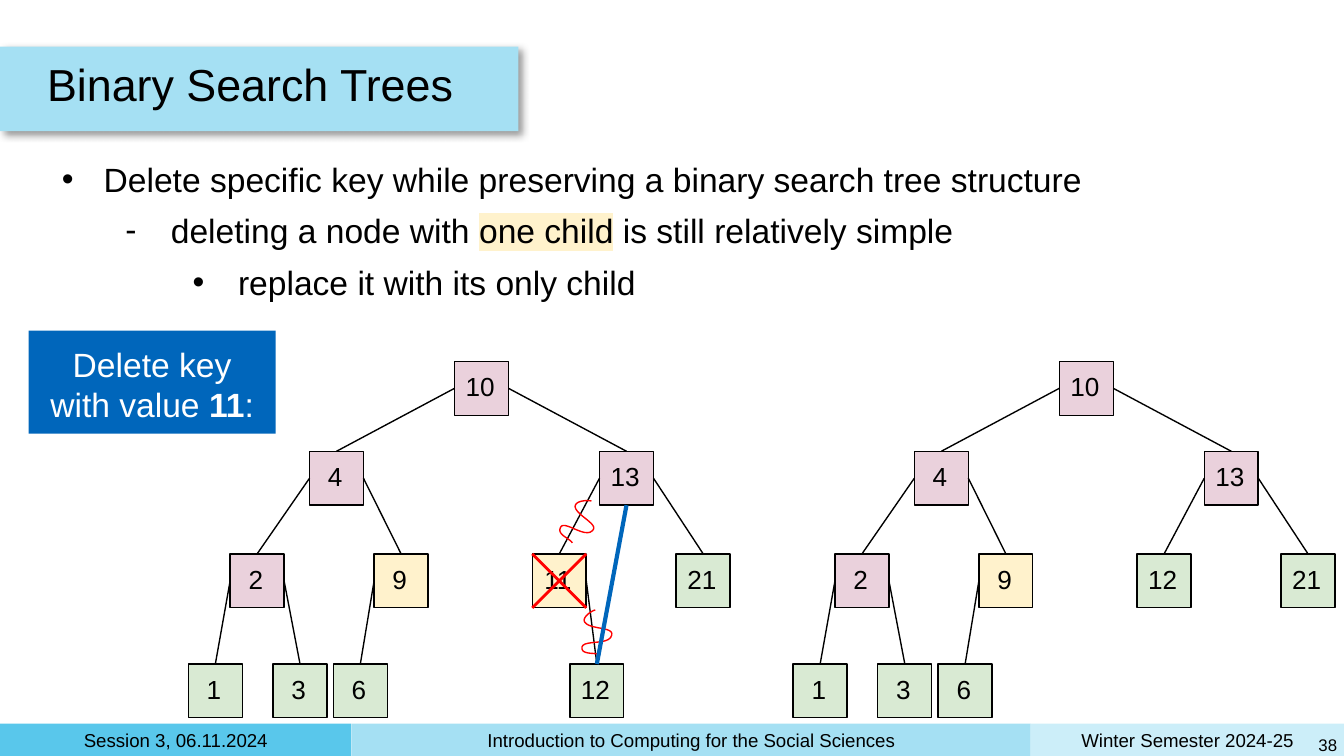
import lxml.etree
import pptx
import pptx.dml.color
import pptx.enum.shapes
import pptx.enum.text
import pptx.oxml.ns
import pptx.util

Cm = pptx.util.Cm
Pt = pptx.util.Pt
RGBColor = pptx.dml.color.RGBColor
ALIGN = pptx.enum.text.PP_ALIGN
ANCHOR = pptx.enum.text.MSO_ANCHOR
RECTANGLE = pptx.enum.shapes.MSO_SHAPE.RECTANGLE
STRAIGHT = pptx.enum.shapes.MSO_CONNECTOR.STRAIGHT
qn = pptx.oxml.ns.qn

BLACK = RGBColor(0x00, 0x00, 0x00)
WHITE = RGBColor(0xFF, 0xFF, 0xFF)
RED = RGBColor(0xFF, 0x00, 0x00)
BLUE = RGBColor(0x00, 0x66, 0xBB)
STRONG_SKY = RGBColor(0x59, 0xC7, 0xEB)
SKY = RGBColor(0xA5, 0xE0, 0xF3)
PALE_SKY = RGBColor(0xCC, 0xEE, 0xF9)
TWO_CHILDREN = RGBColor(0xEA, 0xD1, 0xDC)
ONE_CHILD = RGBColor(0xFF, 0xF2, 0xCC)
LEAF = RGBColor(0xD9, 0xEA, 0xD3)

NODE = 1.02
LEVEL_TOPS = (0, 1.7, 3.64, 5.72)
FULL_TREE = {
    10: (5.03, 0, TWO_CHILDREN),
    4: (2.29, 1, TWO_CHILDREN),
    13: (7.77, 1, TWO_CHILDREN),
    2: (0.79, 2, TWO_CHILDREN),
    9: (3.51, 2, ONE_CHILD),
    11: (6.5, 2, ONE_CHILD),
    21: (9.22, 2, LEAF),
    1: (0, 3, LEAF),
    3: (1.6, 3, LEAF),
    6: (2.74, 3, LEAF),
    12: (7.21, 3, LEAF),
}
PARENTS = {4: 10, 13: 10, 2: 4, 9: 4, 11: 13, 21: 13, 1: 2, 3: 2, 6: 9, 12: 11}
REDUCED_TREE = {key: node for key, node in FULL_TREE.items() if key != 11}
REDUCED_TREE[12] = (FULL_TREE[11][0], 2, LEAF)
REDUCED_PARENTS = {key: parent for key, parent in PARENTS.items() if key != 11}
REDUCED_PARENTS[12] = 13

UPPER_SQUIGGLE = (
    (7.26, 3.43), (7.18, 3.33), (6.98, 3.28), (7.03, 3.15), (7.08, 2.97),
    (7.49, 3.36), (7.64, 3.2), (7.77, 3.08), (7.34, 2.92), (7.31, 2.75),
    (7.31, 2.64), (7.51, 2.62), (7.62, 2.64),
)
LOWER_SQUIGGLE = (
    (7.77, 5.54), (7.67, 5.51), (7.46, 5.54), (7.44, 5.44), (7.39, 5.24),
    (7.95, 5.39), (8.0, 5.18), (8.05, 5.01), (7.59, 5.08), (7.49, 4.93),
    (7.44, 4.85), (7.59, 4.73), (7.69, 4.7),
)


def set_formats(target, formats):
    for attribute, value in formats.items():
        setattr(target, attribute, value)


def set_frame(frame, insets, anchor):
    sides = ("margin_left", "margin_top", "margin_right", "margin_bottom")
    set_formats(frame, {side: Cm(inset) for side, inset in zip(sides, insets)})
    set_formats(frame, {"word_wrap": True, "vertical_anchor": anchor})


def add_run(paragraph, wording, size, color=BLACK, bold=False):
    run = paragraph.add_run()
    run.text = wording
    set_formats(run.font, {"name": "Arial", "size": Pt(size), "bold": bold})
    run.font.color.rgb = color
    return run


def add_panel(slide, box, fill, outline=None):
    panel = slide.shapes.add_shape(RECTANGLE, *map(Cm, box))
    panel.shadow.inherit = False
    panel.fill.solid()
    panel.fill.fore_color.rgb = fill
    if outline is None:
        panel.line.fill.background()
    else:
        panel.line.color.rgb = outline
        panel.line.width = Pt(0.75)
    return panel


def write_line(shape, wording, size, align, insets=(0.13,) * 4):
    set_frame(shape.text_frame, insets, ANCHOR.MIDDLE)
    paragraph = shape.text_frame.paragraphs[0]
    paragraph.alignment = align
    add_run(paragraph, wording, size)
    return paragraph


def add_stroke(slide, start, end, color=BLACK, width=0.75):
    stroke = slide.shapes.add_connector(STRAIGHT, *map(Cm, (*start, *end)))
    stroke.line.color.rgb = color
    stroke.line.width = Pt(width)
    lxml.etree.SubElement(stroke._element.spPr, qn("a:effectLst"))


def add_squiggle(slide, left, top, controls, steps=12):
    points = []
    for first in range(0, len(controls) - 1, 3):
        segment = controls[first:first + 4]
        for step in range(1, steps + 1):
            t = step / steps
            weights = ((1 - t) ** 3, 3 * t * (1 - t) ** 2, 3 * t * t * (1 - t), t ** 3)
            x, y = (sum(w * p[axis] for w, p in zip(weights, segment)) for axis in (0, 1))
            points.append((Cm(left + x), Cm(top + y)))
    x, y = controls[0]
    builder = slide.shapes.build_freeform(Cm(left + x), Cm(top + y))
    builder.add_line_segments(points, close=False)
    squiggle = builder.convert_to_shape()
    squiggle.shadow.inherit = False
    squiggle.fill.background()
    squiggle.line.color.rgb = RED
    squiggle.line.width = Pt(0.75)


def add_footer(slide, left, top, width, height):
    sections = (
        ("Session 3, 06.11.2024", 0, 6.64, STRONG_SKY),
        ("Introduction to Computing for the Social Sciences", 6.64, 12.84, SKY),
        ("Winter Semester 2024-25", 19.48, width - 19.48, PALE_SKY),
    )
    for wording, offset, section_width, fill in sections:
        section = add_panel(slide, (left + offset, top, section_width, height), fill)
        write_line(section, wording, 10, ALIGN.CENTER)
    page_number = slide.shapes.add_textbox(*map(Cm, (left + width - 0.61, top + 0.08, 0.61, 0.64)))
    write_line(page_number, "38", 9, ALIGN.RIGHT, (0, 0.13, 0.13, 0.13))


def add_title(slide, left, top, width, height):
    band = add_panel(slide, (left, top, width, height), SKY)
    effects = band._element.spPr.find(qn("a:effectLst"))
    shadow = lxml.etree.SubElement(
        effects, qn("a:outerShdw"), blurRad=str(Pt(4)), dist=str(Pt(3)),
        dir="2700000", algn="tl", rotWithShape="0")
    shade = lxml.etree.SubElement(shadow, qn("a:srgbClr"), val=str(BLACK))
    lxml.etree.SubElement(shade, qn("a:alpha"), val="40000")
    title = slide.shapes.add_textbox(*map(Cm, (left + 0.76, top, 22.1, height)))
    write_line(title, "Binary Search Trees", 24, ALIGN.LEFT).line_spacing = 0.8


def add_outline(slide, left, top, width, height):
    items = (
        ("•", 0.79, -0.84, ("Delete specific key while preserving a binary search tree structure",)),
        ("-", 2.06, -0.86, ("deleting a node with ", "one child", " is still relatively simple")),
        ("•", 3.33, -0.86, ("replace it with its only child",)),
    )
    frame = slide.shapes.add_textbox(*map(Cm, (left, top, width, height))).text_frame
    set_frame(frame, (0.13,) * 4, ANCHOR.TOP)
    for level, (bullet, margin, indent, wordings) in enumerate(items):
        paragraph = frame.add_paragraph() if level else frame.paragraphs[0]
        paragraph.level = level
        if level:
            paragraph.space_before = Pt(6)
        properties = paragraph._p.get_or_add_pPr()
        properties.set("marL", str(Cm(margin)))
        properties.set("indent", str(Cm(indent)))
        bullet_color = lxml.etree.SubElement(properties, qn("a:buClr"))
        lxml.etree.SubElement(bullet_color, qn("a:srgbClr"), val=str(BLACK))
        lxml.etree.SubElement(properties, qn("a:buFont"), typeface="Arial")
        lxml.etree.SubElement(properties, qn("a:buChar"), char=bullet)
        for wording in wordings:
            run = add_run(paragraph, wording, 18)
            if wording == "one child":
                highlight = lxml.etree.Element(qn("a:highlight"))
                lxml.etree.SubElement(highlight, qn("a:srgbClr"), val=str(ONE_CHILD))
                run._r.rPr.find(qn("a:solidFill")).addnext(highlight)


def add_task(slide, left, top, width, height):
    frame = add_panel(slide, (left, top, width, height), BLUE).text_frame
    set_frame(frame, (0.25,) * 4, ANCHOR.TOP)
    paragraph = frame.paragraphs[0]
    paragraph.alignment = ALIGN.CENTER
    for wording, bold in (("Delete key with value ", False), ("11", True), (":", False)):
        add_run(paragraph, wording, 18, WHITE, bold)


def add_tree(slide, left, top, nodes, parents):
    corners = {key: (left + x, top + LEVEL_TOPS[level]) for key, (x, level, _) in nodes.items()}
    for key, (x, y) in corners.items():
        node = add_panel(slide, (x, y, NODE, NODE), nodes[key][2], BLACK)
        write_line(node, str(key), 14, ALIGN.CENTER, (0.2, 0, 0.25, 0.08))
    for child, parent in parents.items():
        (child_x, child_y), (parent_x, parent_y) = corners[child], corners[parent]
        side = parent_x if child_x < parent_x else parent_x + NODE
        add_stroke(slide, (side, parent_y + NODE / 2), (child_x + NODE / 2, child_y))
    return corners


def add_deletion(slide, left, top, corners):
    x, y = corners[11]
    add_stroke(slide, (x, y), (x + NODE, y + NODE), RED, 1.5)
    add_stroke(slide, (x + NODE, y), (x, y + NODE), RED, 1.5)
    for controls in (UPPER_SQUIGGLE, LOWER_SQUIGGLE):
        add_squiggle(slide, left, top, controls)
    (upper_x, upper_y), (lower_x, lower_y) = corners[13], corners[12]
    add_stroke(slide, (upper_x + NODE / 2, upper_y + NODE), (lower_x + NODE / 2, lower_y), BLUE, 2.25)


def main():
    presentation = pptx.Presentation()
    set_formats(presentation, {"slide_width": Cm(25.4), "slide_height": Cm(14.29)})
    slide = presentation.slides.add_slide(presentation.slide_layouts[6])
    add_footer(slide, 0, 13.68, 25.4, 0.61)
    add_title(slide, 0, 0.88, 9.8, 1.6)
    add_outline(slide, 1.04, 2.87, 23.34, 3)
    corners = add_tree(slide, 3.56, 6.83, FULL_TREE, PARENTS)
    add_deletion(slide, 3.56, 6.83, corners)
    add_task(slide, 0.54, 6.25, 4.67, 1.95)
    add_tree(slide, 14.99, 6.83, REDUCED_TREE, REDUCED_PARENTS)
    presentation.save("out.pptx")


if __name__ == "__main__":
    main()
